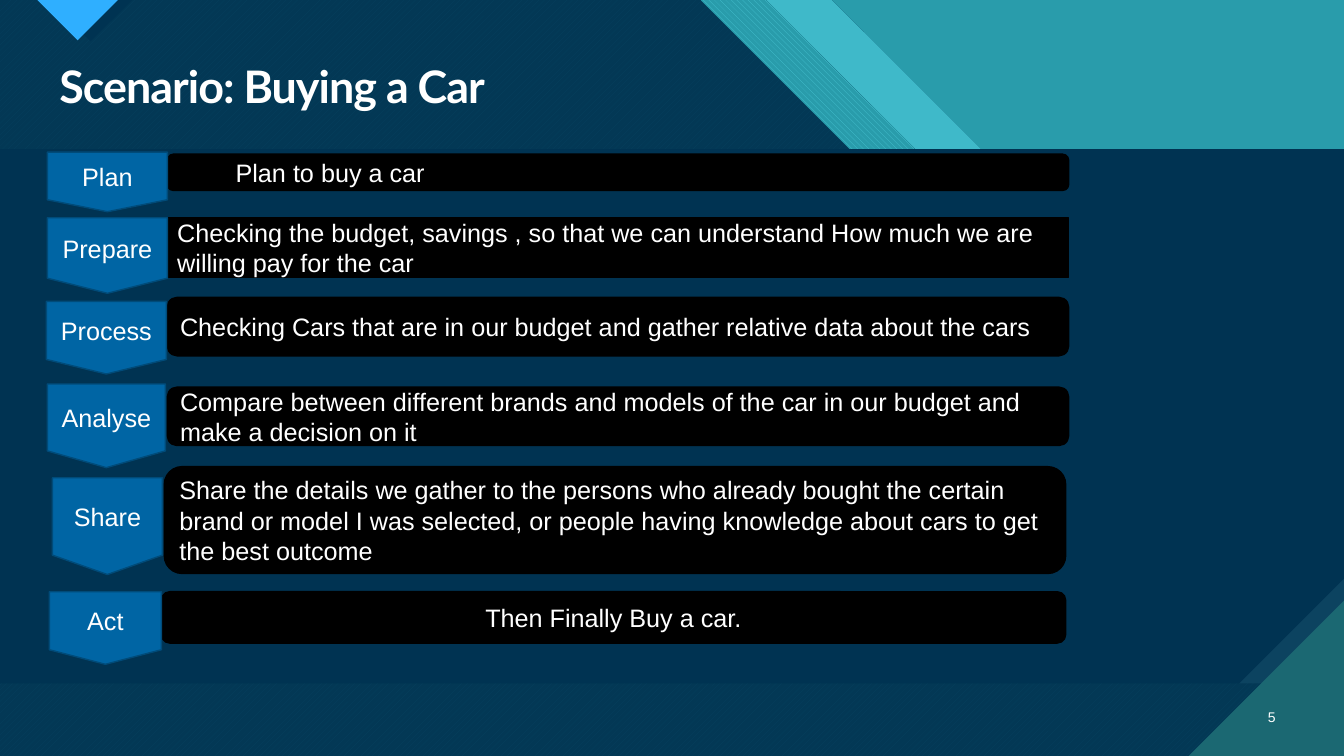
"""Build the "Buying a Car" scenario slide with its six process steps."""
from pptx import Presentation
from pptx.dml.color import RGBColor
from pptx.enum.dml import MSO_PATTERN
from pptx.enum.shapes import MSO_SHAPE
from pptx.enum.text import MSO_ANCHOR, PP_ALIGN
from pptx.util import Inches, Pt

WIDTH, HEIGHT = 13.33, 7.5
BAND, FOOTER = 1.48, 6.78
WHITE, BLACK, NAVY = "FFFFFF", "000000", "003352"
TAG_FILL, TAG_LINE = "0065A4", "004B79"
TITLE = "Scenario: Buying a Car"
PAGE_NUMBER = "5"

UPWARD = MSO_PATTERN.WIDE_UPWARD_DIAGONAL
DOWNWARD = MSO_PATTERN.WIDE_DOWNWARD_DIAGONAL
BACKDROP = [
    ([(0, 0), (WIDTH, 0), (WIDTH, HEIGHT), (0, HEIGHT)], (UPWARD, "07415F", "033855")),
    ([(8.25, 0), (WIDTH, 0), (WIDTH, BAND), (9.73, BAND)], "299CAB"),
    ([(7.6, 0), (8.25, 0), (9.73, BAND), (9.08, BAND)], "3FB9C9"),
    ([(6.95, 0), (7.6, 0), (9.08, BAND), (8.43, BAND)], (DOWNWARD, "47C3D3", "299CAB")),
    ([(0.48, 0), (1.31, 0), (0.9, 0.41)], NAVY),
    ([(0.37, 0), (1.17, 0), (0.77, 0.4)], "2FAFFF"),
    ([(WIDTH, 5.74), (WIDTH, FOOTER), (12.29, FOOTER)], "0C4360"),
    ([(0, BAND), (WIDTH, BAND), (WIDTH, 5.74), (12.29, FOOTER), (0, FOOTER)], NAVY),
    ([(11.79, HEIGHT), (WIDTH, HEIGHT), (WIDTH, 5.96)], "1B6872"),
]

ROUNDED = MSO_SHAPE.FLOWCHART_ALTERNATE_PROCESS
SQUARE = MSO_SHAPE.FLOWCHART_PROCESS
LEFT, CENTER, RIGHT = PP_ALIGN.LEFT, PP_ALIGN.CENTER, PP_ALIGN.RIGHT
STEPS = [
    ("Plan", (0.47, 1.51, 1.19, 0.59), "Plan to buy a car",
     (1.66, 1.53, 8.94, 0.36), ROUNDED, LEFT, 0.66),
    ("Prepare", (0.47, 2.16, 1.19, 0.75),
     "Checking the budget, savings , so that we can understand How much we are "
     "willing pay for the car",
     (1.66, 2.16, 8.94, 0.59), SQUARE, LEFT, 0.1),
    ("Process", (0.46, 2.99, 1.19, 0.72),
     "Checking Cars that are in our budget and gather relative data about the cars",
     (1.66, 2.95, 8.94, 0.58), ROUNDED, LEFT, 0.1),
    ("Analyse", (0.47, 3.81, 1.17, 0.83),
     "Compare between different brands and models of the car in our budget and "
     "make a decision on it",
     (1.66, 3.84, 8.94, 0.58), ROUNDED, LEFT, 0.1),
    ("Share", (0.52, 4.74, 1.09, 0.96),
     "Share the details we gather to the persons who already bought the certain "
     "brand or model I was selected, or people having knowledge about cars to get "
     "the best outcome",
     (1.63, 4.63, 8.94, 1.06), ROUNDED, LEFT, 0.1),
    ("Act", (0.49, 5.87, 1.11, 0.72), "Then Finally Buy a car.",
     (1.6, 5.87, 8.97, 0.51), ROUNDED, CENTER, 0.1),
]


def color(value):
    return RGBColor.from_string(value)


def add_backdrop(page, points, paint):
    corners = [(Inches(x), Inches(y)) for x, y in points]
    builder = page.shapes.build_freeform(*corners[0])
    builder.add_line_segments(corners[1:], close=True)
    shape = builder.convert_to_shape()
    shape.shadow.inherit = False
    shape.line.fill.background()
    if isinstance(paint, str):
        shape.fill.solid()
        shape.fill.fore_color.rgb = color(paint)
    else:
        pattern, front, back = paint
        shape.fill.patterned()
        shape.fill.pattern = pattern
        shape.fill.fore_color.rgb = color(front)
        shape.fill.back_color.rgb = color(back)


def write(box, text, size, align, anchor=MSO_ANCHOR.MIDDLE, font="Arial"):
    frame = box.text_frame
    frame.word_wrap = True
    frame.vertical_anchor = anchor
    para = frame.paragraphs[0]
    para.alignment = align
    span = para.add_run()
    span.text = text
    span.font.name = font
    span.font.size = Pt(size)
    span.font.color.rgb = color(WHITE)
    return para, span


def add_block(page, kind, place, fill, line, text, align):
    block = page.shapes.add_shape(kind, *map(Inches, place))
    block.shadow.inherit = False
    block.fill.solid()
    block.fill.fore_color.rgb = color(fill)
    block.line.color.rgb = color(line)
    block.line.width = Pt(1)
    write(block, text, 18, align)
    return block


def main():
    deck = Presentation()
    deck.slide_width, deck.slide_height = Inches(WIDTH), Inches(HEIGHT)
    page = deck.slides.add_slide(deck.slide_layouts[6])
    for points, paint in BACKDROP:
        add_backdrop(page, points, paint)

    title = page.shapes.add_textbox(*map(Inches, (0.49, 0.59, 12.26, 0.59)))
    para, span = write(title, TITLE, 32, LEFT, MSO_ANCHOR.TOP, "Lato")
    para.line_spacing = 0.9
    span.font.bold = True
    span._r.get_or_add_rPr().set("spc", "-70")

    number = page.shapes.add_textbox(*map(Inches, (12.31, 6.91, 0.44, 0.4)))
    write(number, PAGE_NUMBER, 10, RIGHT)

    for label, tag_place, detail, place, kind, align, inset in STEPS:
        block = add_block(page, kind, place, BLACK, BLACK, detail, align)
        block.text_frame.margin_left = Inches(inset)
        add_block(page, MSO_SHAPE.FLOWCHART_OFFPAGE_CONNECTOR, tag_place,
                  TAG_FILL, TAG_LINE, label, CENTER)

    deck.save("out.pptx")


if __name__ == "__main__":
    main()
